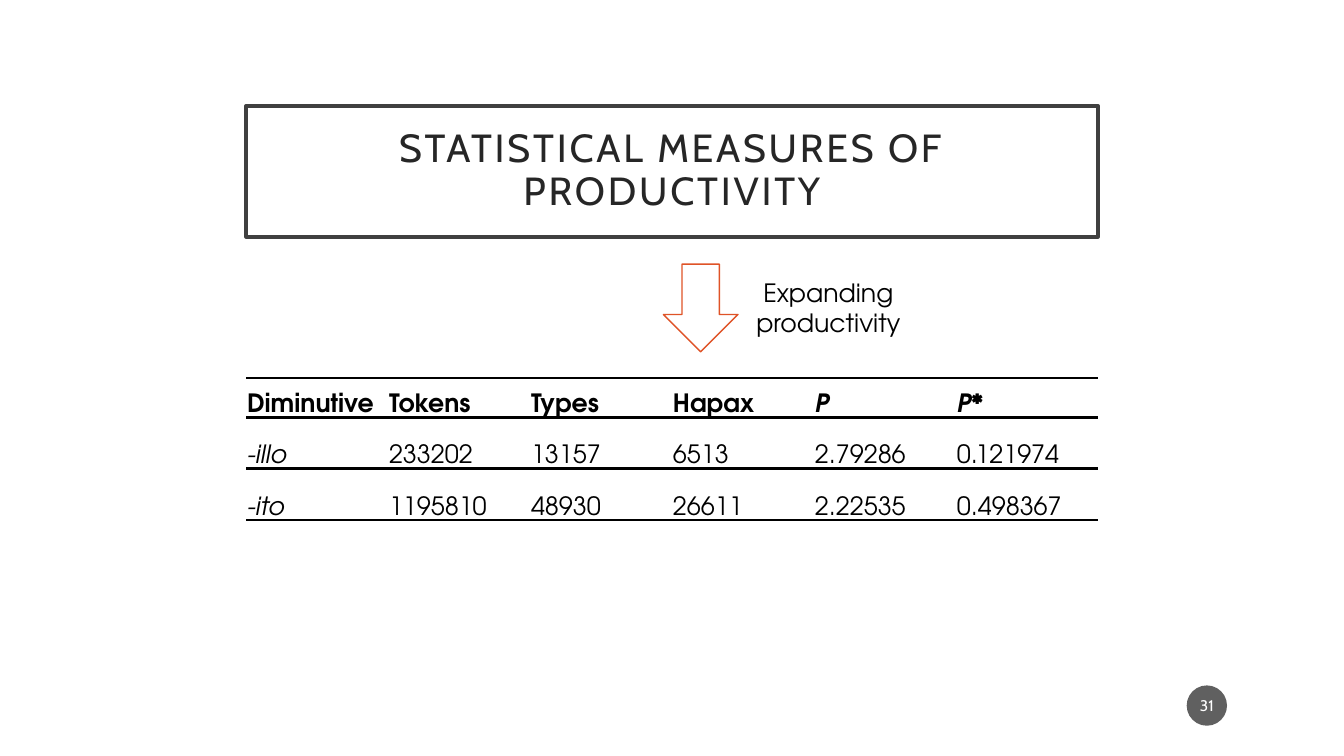
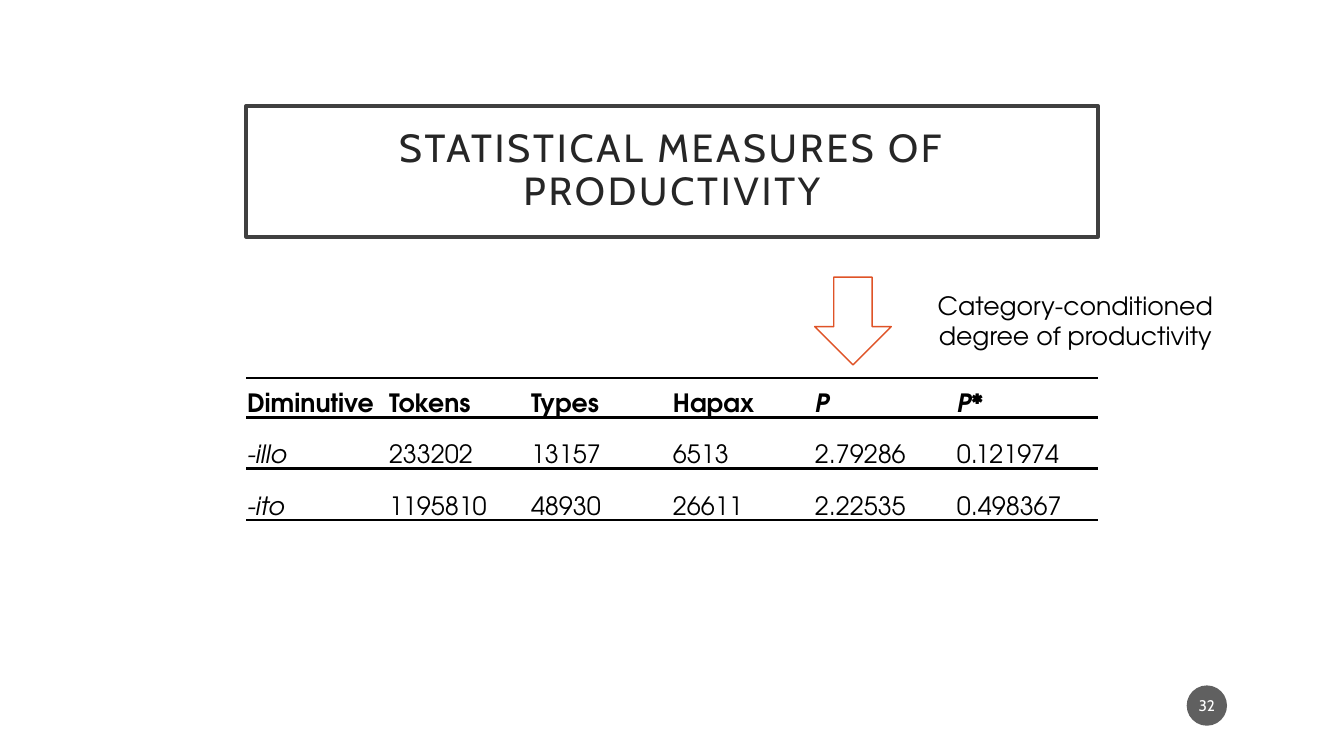
from pptx import Presentation
from pptx import util as u
from pptx.dml.color import RGBColor
from pptx.enum import shapes, text
from pptx.oxml import parse_xml
from pptx.oxml.ns import nsdecls, qn

BLACK = RGBColor(0x00, 0x00, 0x00)
WHITE = RGBColor(0xFF, 0xFF, 0xFF)
INK = RGBColor(0x26, 0x26, 0x26)
FRAME = RGBColor(0x40, 0x40, 0x40)
BADGE = RGBColor(0x1D, 0x1D, 0x1D)
ORANGE = RGBColor(0xDF, 0x53, 0x27)

TITLE_FONT = "Cabin"
BODY_FONT = "TeX Gyre Adventor"
TITLE = "STATISTICAL MEASURES OF PRODUCTIVITY"
LEFT, WIDTH = 2.44, 8.45

ROWS = [
    ["Diminutive", "Tokens", "Types", "Hapax", "P", "P*"],
    ["-illo", "233202", "13157", "6513", "2.79286", "0.121974"],
    ["-ito", "1195810", "48930", "26611", "2.22535", "0.498367"],
]
ROW_HEIGHTS = [0.39, 0.51, 0.51]
ROW_RULES = [("lnT", "lnB"), ("lnT",), ("lnB",)]
NO_STYLE = "{2D5ABB26-0587-4C30-8999-92F81FD0307C}"

# Number, arrow box, label, label box
SLIDES = [
    ("31", (6.58, 2.62, 0.74, 0.87),
     "Expanding productivity", (7.32, 2.7, 1.79, 0.71)),
    ("32", (8.08, 2.75, 0.76, 0.87),
     "Category-conditioned degree of productivity", (8.82, 2.83, 3.69, 0.71)),
]


def inches(*values):
    return [u.Inches(v) for v in values]


def write(tf, words, font, size, color, align=None, **extra):
    p = tf.paragraphs[0]
    p.alignment = align
    r = p.add_run()
    r.text = words
    formats = {"name": font, "size": u.Pt(size), **extra}
    for name, value in formats.items():
        setattr(r.font, name, value)
    r.font.color.rgb = color
    return p


prs = Presentation()
prs.slide_width, prs.slide_height = inches(13.33, 7.5)
CENTER = text.PP_ALIGN.CENTER

for number, arrow_box, label, label_box in SLIDES:
    s = prs.slides.add_slide(prs.slide_layouts[5])

    # Framed title
    sp = s.shapes.title
    sp.left, sp.top, sp.width, sp.height = inches(LEFT, 1.05, WIDTH, 1.3)
    sp.fill.solid()
    sp.fill.fore_color.rgb = WHITE
    sp.line.color.rgb = FRAME
    sp.line.width = u.Pt(2.5)
    tf = sp.text_frame
    tf.auto_size = text.MSO_AUTO_SIZE.NONE
    tf.vertical_anchor = text.MSO_ANCHOR.MIDDLE
    for side in ("left", "right", "top", "bottom"):
        setattr(tf, f"margin_{side}", u.Inches(0.2))
    p = write(tf, TITLE, TITLE_FONT, 28, INK, CENTER)
    p.line_spacing = 0.9
    p.runs[0].font._element.set("spc", "200")

    # Slide number badge
    sp = s.shapes.add_shape(shapes.MSO_SHAPE.OVAL, *inches(11.77, 6.8, 0.4, 0.4))
    sp.shadow.inherit = False
    sp.fill.solid()
    sp.fill.fore_color.rgb = BADGE
    color = sp._element.spPr.find(qn("a:solidFill"))[0]
    color.append(parse_xml(f'<a:alpha {nsdecls("a")} val="70000"/>'))
    sp.line.fill.background()
    tf = sp.text_frame
    tf.margin_left = tf.margin_right = u.Inches(0.02)
    tf.vertical_anchor = text.MSO_ANCHOR.MIDDLE
    write(tf, number, TITLE_FONT, 11, WHITE, CENTER)

    # Table with horizontal rules only
    gf = s.shapes.add_table(len(ROWS), len(ROWS[0]),
                            *inches(LEFT, 3.75, WIDTH, sum(ROW_HEIGHTS)))
    table = gf.table
    table.horz_banding = False
    next(gf._element.iter(qn("a:tableStyleId"))).text = NO_STYLE
    for col in table.columns:
        col.width = u.Inches(WIDTH / len(ROWS[0]))
    for i, values in enumerate(ROWS):
        table.rows[i].height = u.Inches(ROW_HEIGHTS[i])
        for j, value in enumerate(values):
            cell = table.cell(i, j)
            cell.vertical_anchor = text.MSO_ANCHOR.BOTTOM
            cell.margin_left = cell.margin_right = cell.margin_top = u.Inches(0.01)
            cell.margin_bottom = 0
            cell.fill.background()
            italic = j >= 4 if i == 0 else j == 0
            write(cell.text_frame, value, BODY_FONT, 18, BLACK,
                  bold=i == 0, italic=italic)
            tcPr = cell._tc.get_or_add_tcPr()
            for k, tag in enumerate(ROW_RULES[i]):
                tcPr.insert(k, parse_xml(
                    f'<a:{tag} {nsdecls("a")} w="{u.Pt(2.25)}"><a:solidFill>'
                    f'<a:srgbClr val="{BLACK}"/></a:solidFill></a:{tag}>'))

    # Arrow pointing at the column
    sp = s.shapes.add_shape(shapes.MSO_SHAPE.DOWN_ARROW, *inches(*arrow_box))
    sp.shadow.inherit = False
    sp.fill.solid()
    sp.fill.fore_color.rgb = WHITE
    sp.line.color.rgb = ORANGE
    sp.line.width = u.Pt(1)

    # Arrow label
    tf = s.shapes.add_textbox(*inches(*label_box)).text_frame
    tf.word_wrap = True
    tf.auto_size = text.MSO_AUTO_SIZE.SHAPE_TO_FIT_TEXT
    write(tf, label, BODY_FONT, 18, BLACK, CENTER)

prs.save("out.pptx")
